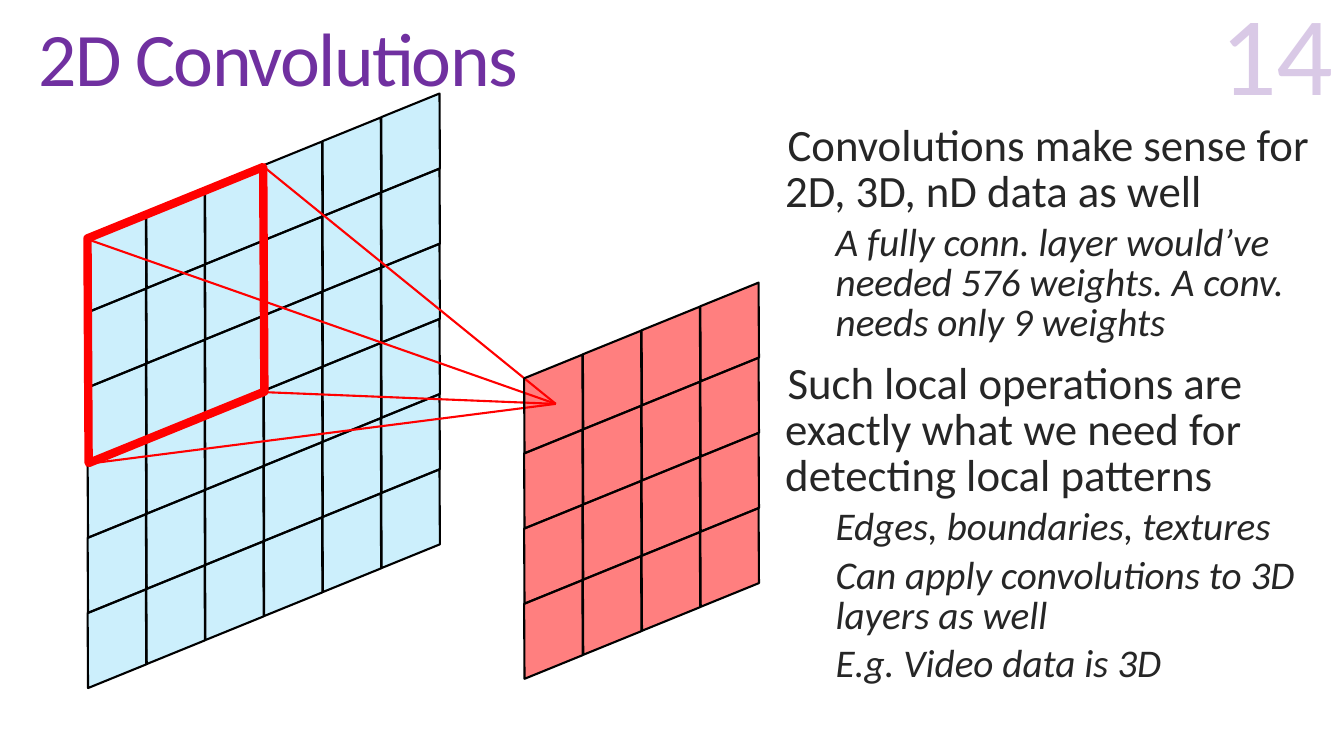
from pptx import Presentation
from pptx.dml.color import RGBColor
from pptx.enum.shapes import MSO_CONNECTOR, MSO_SHAPE
from pptx.enum.text import MSO_ANCHOR, MSO_AUTO_SIZE, PP_ALIGN
from pptx.oxml.ns import qn
from pptx.util import Pt
from lxml import etree

SLANT = MSO_SHAPE.PARALLELOGRAM
LINE = MSO_CONNECTOR.STRAIGHT
LEFT, RIGHT = PP_ALIGN.LEFT, PP_ALIGN.RIGHT
MIDDLE, BOTTOM, TOP = MSO_ANCHOR.MIDDLE, MSO_ANCHOR.BOTTOM, MSO_ANCHOR.TOP
FIXED = MSO_AUTO_SIZE.NONE

# Content
TITLE = "2D Convolutions"
NUMBER = "14"
BODY = [
    (0, "Convolutions make sense for 2D, 3D, nD data as well"),
    (1, "A fully conn. layer would’ve needed 576 weights. "
        "A conv. needs only 9 weights"),
    (0, "Such local operations are exactly what we need for "
        "detecting local patterns"),
    (1, "Edges, boundaries, textures"),
    (1, "Can apply convolutions to 3D layers as well"),
    (1, "E.g. Video data is 3D"),
]
# Per level: size, indent, space before, italic
LEVELS = [(32, 7.2, 13, False), (28, 43.2, 6, True)]
PURPLE, DARK, BLACK = "7030A0", "262626", "000000"
BLUE, RED = "00B0F0", "FF0000"

# Grids: left and top of first cell, cells per side, colour, opacity
INPUT = (51.1, 162.9, 6, BLUE, 20)
OUTPUT = (362.9, 263.7, 4, RED, 50)
CELL = (64.8, 49.7)
STEP, RISE, DROP = 41.95, 17.15, 53.7
TILT, SKEW = 157.9, 0.4
FILTER = (28.1, 150.5, 195.1, 149)
CORNERS = [(64, 171.4), (188, 118.8), (63.4, 331.2), (188.6, 280.1)]
TARGET = (397, 288.5)


def color(code):
    return RGBColor.from_string(code)


def paint(fill, code, owner, alpha=100):
    fill.solid()
    fill.fore_color.rgb = color(code)
    if alpha < 100:
        tint = next(owner.iter(qn("a:srgbClr")))
        etree.SubElement(tint, qn("a:alpha")).set("val", str(alpha * 1000))


def place(shape, *box):
    shape.left, shape.top, shape.width, shape.height = map(Pt, box)


def style(par, size, code, alpha=100, italic=False):
    run = par.runs[0]
    run.font.name, run.font.size = "Calibri", Pt(size)
    run.font.italic = italic
    paint(run.font.fill, code, run._r, alpha)
    return run


def frame(shape, anchor):
    text = shape.text_frame
    text.word_wrap, text.auto_size = True, FIXED
    text.vertical_anchor = anchor
    return text


def slant(shapes, box, code, width):
    tile = shapes.add_shape(SLANT, *map(Pt, box))
    tile.adjustments[0] = SKEW
    tile.rotation = TILT
    tile.shadow.inherit = False
    tile.line.color.rgb = color(code)
    tile.line.width = Pt(width)
    return tile


def grid(shapes, left, top, count, code, alpha):
    for col in range(count):
        for row in range(count):
            spot = (left + col * STEP, top - col * RISE + row * DROP)
            tile = slant(shapes, spot + CELL, BLACK, 1.5)
            paint(tile.fill, code, tile._element, alpha)


deck = Presentation()
deck.slide_width, deck.slide_height = Pt(960), Pt(540)
slide = deck.slides.add_slide(deck.slide_layouts[1])
shapes = slide.shapes

# Title
title = shapes.title
place(title, 20.2, 2.9, 913.7, 85)
text = frame(title, MIDDLE)
text.text = TITLE
par = text.paragraphs[0]
par.alignment, par.line_spacing = LEFT, 0.85
style(par, 54, PURPLE).font._element.set("spc", "-120")

# Slide number
box = shapes.add_textbox(Pt(729.4), Pt(3.6), Pt(230.4), Pt(84.2))
text = frame(box, BOTTOM)
text.text = NUMBER
text.paragraphs[0].alignment = RIGHT
style(text.paragraphs[0], 80, PURPLE, 25)

# Body list
body = slide.placeholders[1]
place(body, 546.5, 85.7, 413.5, 454.3)
text = frame(body, TOP)
for num, (level, words) in enumerate(BODY):
    par = text.add_paragraph() if num else text.paragraphs[0]
    par.text = words
    par.level = level
    size, indent, gap, italic = LEVELS[level]
    props = par._p.get_or_add_pPr()
    props.set("marL", str(Pt(indent)))
    props.set("indent", str(-Pt(indent)))
    etree.SubElement(props, qn("a:buChar")).set("char", " ")
    par.alignment, par.line_spacing = LEFT, 0.85
    par.space_before = Pt(gap if num else 0)
    style(par, size, DARK, italic=italic)

# Input layer
grid(shapes.add_group_shape().shapes, *INPUT)

# Filter window and its rays
window = shapes.add_group_shape().shapes
slant(window, FILTER, RED, 6).fill.background()
for corner in CORNERS:
    ray = window.add_connector(LINE, *map(Pt, corner + TARGET))
    ray.line.color.rgb = color(RED)
    ray.line.width = Pt(1.5)
    etree.SubElement(ray._element.spPr, qn("a:effectLst"))

# Output layer
grid(shapes, *OUTPUT)

deck.save("out.pptx")
